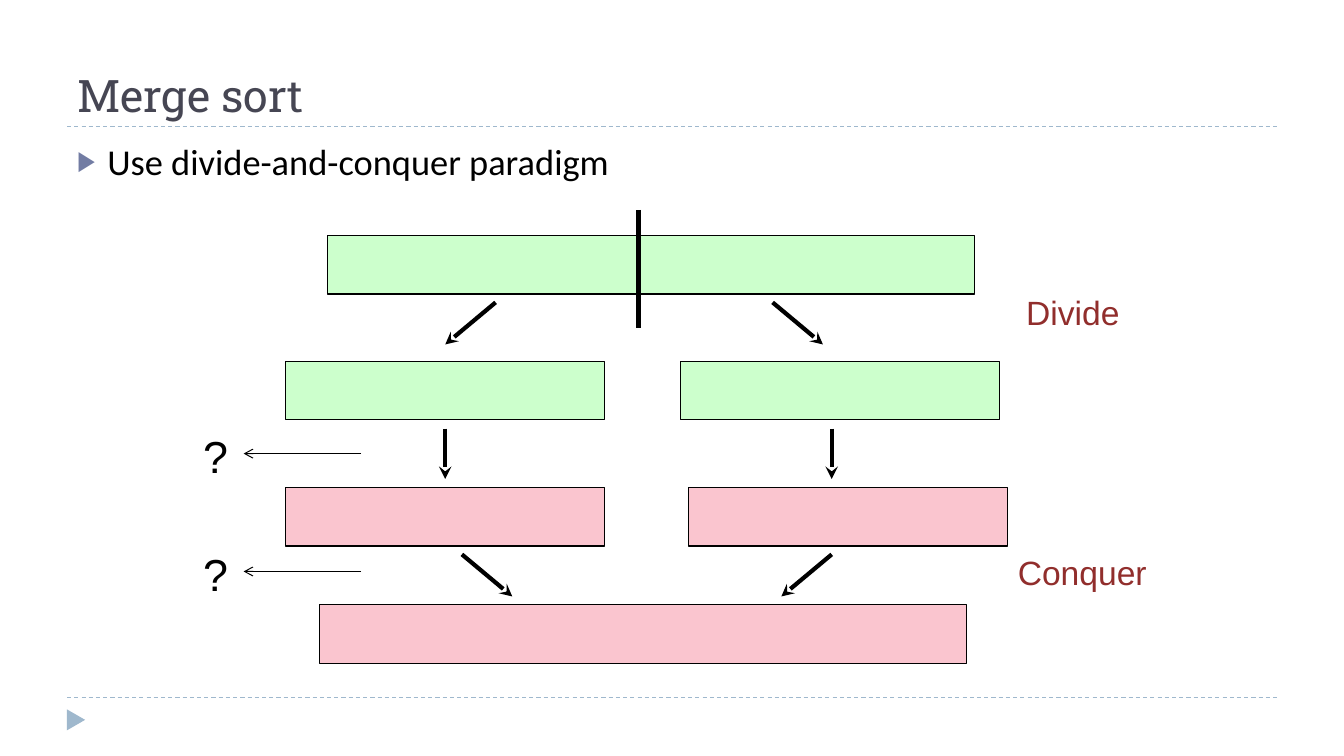
from lxml.etree import SubElement
from pptx import Presentation
from pptx.dml.color import RGBColor
from pptx.enum.dml import MSO_LINE
from pptx.enum.shapes import MSO_CONNECTOR, MSO_SHAPE
from pptx.enum.text import MSO_ANCHOR, MSO_AUTO_SIZE, PP_ALIGN
from pptx.oxml.ns import qn
from pptx.util import Cm, Pt

COLORS = {
    "black": "000000",
    "title": "464653",
    "bullet": "727CA3",
    "rule": "9FB8CD",
    "unsorted": "CCFFCC",
    "sorted": "FAC5CF",
    "label": "912E2C",
}
BAR_HEIGHT = 1.48
FULL_WIDTH = 16.3
HALF_WIDTH = 8.04


class Sketch:
    def __init__(self, page):
        self.page = page

    def color(self, name):
        return RGBColor.from_string(COLORS[name])

    def place(self, item, left, top, width, height):
        item.left, item.top = Cm(left), Cm(top)
        item.width, item.height = Cm(width), Cm(height)

    def add_text(self, box, text, size, font, color, anchor=MSO_ANCHOR.TOP):
        frame = box.text_frame
        frame.word_wrap = True
        frame.auto_size = MSO_AUTO_SIZE.NONE
        frame.vertical_anchor = anchor
        para = frame.paragraphs[0]
        para.alignment = PP_ALIGN.LEFT
        para.space_before = Pt(0)
        span = para.add_run()
        span.text = text
        span.font.size = Pt(size)
        span.font.name = font
        span.font.color.rgb = self.color(color)
        return para

    def title(self, text):
        box = self.page.shapes.title
        self.place(box, 1.69, 0.43, 30.48, 2.75)
        self.add_text(box, text, 32, "Roboto Slab", "title", MSO_ANCHOR.BOTTOM)

    def bullet(self, text):
        box = self.page.placeholders[1]
        self.place(box, 1.69, 3.39, 30.48, 13.72)
        para = self.add_text(box, text, 26, "Calibri", "black")
        props = para._p.get_or_add_pPr()
        props.set("marL", str(Cm(0.76)))
        props.set("indent", str(-Cm(0.76)))
        tint = SubElement(props, qn("a:buClr"))
        SubElement(tint, qn("a:srgbClr"), val=COLORS["bullet"])
        SubElement(props, qn("a:buSzPct"), val="76000")
        SubElement(props, qn("a:buFont"), typeface="Arial")
        SubElement(props, qn("a:buChar"), char="▶")

    def label(self, text, left, top, width, height, size=24, color="label"):
        box = self.page.shapes.add_textbox(Cm(left), Cm(top), Cm(width), Cm(height))
        self.add_text(box, text, size, "Arial", color)

    def shape(self, kind, left, top, width, height, fill):
        item = self.page.shapes.add_shape(kind, Cm(left), Cm(top), Cm(width), Cm(height))
        item.shadow.inherit = False
        item.fill.solid()
        item.fill.fore_color.rgb = self.color(fill)
        item.line.fill.background()
        return item

    def bar(self, left, top, width, fill):
        item = self.shape(MSO_SHAPE.RECTANGLE, left, top, width, BAR_HEIGHT, fill)
        item.line.color.rgb = self.color("black")
        item.line.width = Pt(0.75)

    def marker(self):
        item = self.shape(MSO_SHAPE.ISOSCELES_TRIANGLE, 1.65, 17.91, 0.53, 0.46, "rule")
        item.rotation = 90

    def line(self, x1, y1, x2, y2, weight=3, color="black", head=None, dash=None):
        item = self.page.shapes.add_connector(
            MSO_CONNECTOR.STRAIGHT, Cm(x1), Cm(y1), Cm(x2), Cm(y2))
        item.line.color.rgb = self.color(color)
        item.line.width = Pt(weight)
        if dash:
            item.line.dash_style = dash
        if head:
            SubElement(item.line._get_or_add_ln(), qn("a:tailEnd"), type=head)
        SubElement(item._element.spPr, qn("a:effectLst"))


def main():
    deck = Presentation()
    deck.slide_width, deck.slide_height = Cm(33.87), Cm(19.05)
    sketch = Sketch(deck.slides.add_slide(deck.slide_layouts[1]))

    for top in (17.57, 3.18):
        sketch.line(1.69, top, 32.17, top, 0.75, "rule", dash=MSO_LINE.DASH)
    sketch.marker()
    sketch.title("Merge sort")
    sketch.bullet("Use divide-and-conquer paradigm")

    for left, top, width, fill in (
        (8.26, 5.93, FULL_WIDTH, "unsorted"),
        (7.2, 9.1, HALF_WIDTH, "unsorted"),
        (17.15, 9.1, HALF_WIDTH, "unsorted"),
        (7.2, 12.28, HALF_WIDTH, "sorted"),
        (17.36, 12.28, HALF_WIDTH, "sorted"),
        (8.05, 15.24, FULL_WIDTH, "sorted"),
    ):
        sketch.bar(left, top, width, fill)
    sketch.line(16.09, 5.29, 16.09, 8.26, 4)

    for top, bottom, flows in (
        (7.62, 8.68, ((12.49, 11.22), (19.47, 20.74))),
        (10.8, 12.07, ((11.22, 11.22), (20.96, 20.96))),
        (13.97, 15.03, ((11.64, 12.91), (20.96, 19.69))),
    ):
        for start, end in flows:
            sketch.line(start, top, end, bottom, head="stealth")

    sketch.label("Divide", 25.61, 7.24, 3.63, 1.28)
    sketch.label("Conquer", 25.4, 13.79, 4.02, 1.28)
    for level in (11.43, 14.4):
        sketch.line(9.1, level, 6.14, level, 0.75, head="arrow")
        sketch.label("?", 4.87, level - 0.76, 1.7, 1.6, 32, "black")

    deck.save("out.pptx")


if __name__ == "__main__":
    main()
